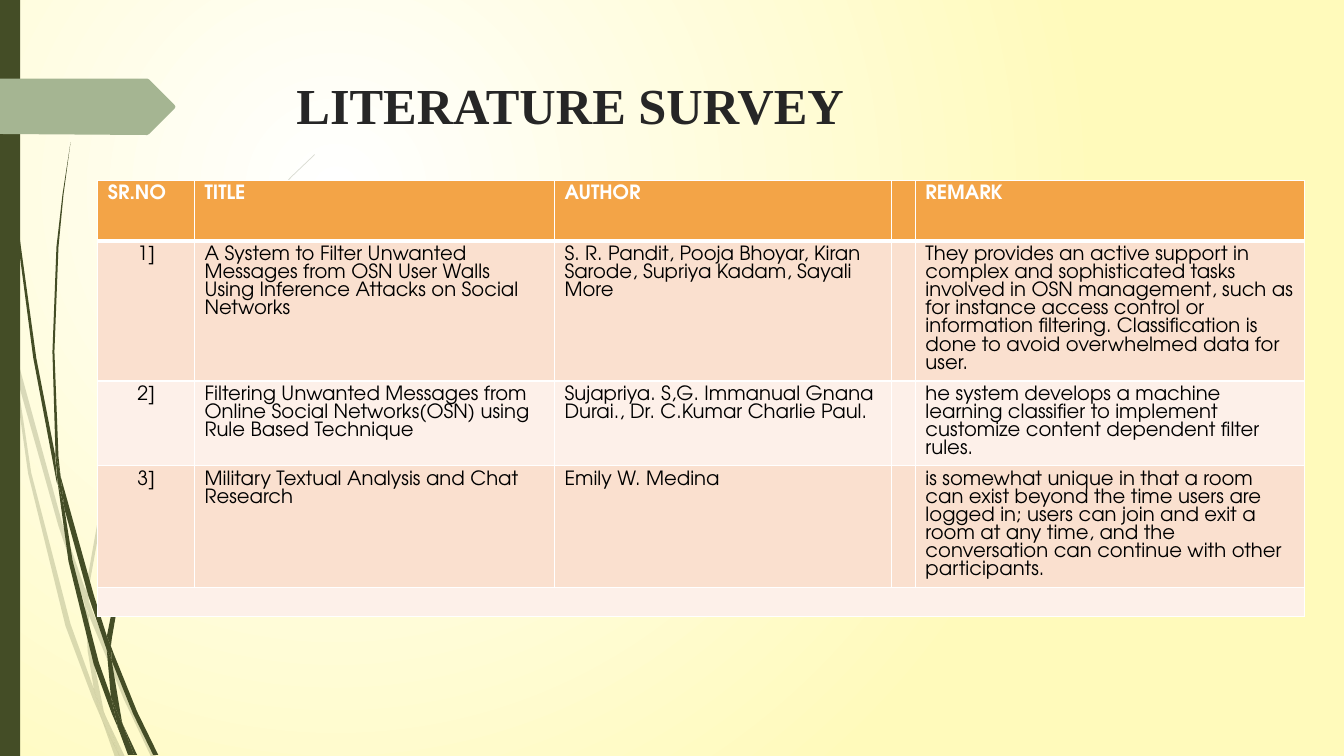
import pptx
import pptx.dml.color
import pptx.enum.shapes
import pptx.enum.text
import pptx.oxml
import pptx.oxml.ns
import pptx.util

WIDE, HIGH = pptx.util.Inches(13.33), pptx.util.Inches(7.5)
DARK, SAGE, ORANGE = "444D26", "A5B592", "F3A447"
BANDS = "FAE0CF", "FDF0E9"
COLS = 7.2, 26.78, 25.06, 1.73, 28.96
ROWS = 8, 18.53, 11.2, 16.13, 3.8
HEAD = "SR.NO", "TITLE", "AUTHOR", "", "REMARK"
PAPERS = (
    ("1]", "A System to Filter Unwanted Messages from OSN User Walls Using Inference Attacks on Social Networks",
     "S. R. Pandit, Pooja Bhoyar, Kiran Sarode, Supriya Kadam, Sayali More", "",
     "They provides an active support in complex and sophisticated tasks involved in OSN management, such as "
     "for instance access control or information filtering. Classification is done to avoid overwhelmed data for user."),
    ("2]", "Filtering Unwanted Messages from Online Social Networks(OSN) using Rule Based Technique",
     "Sujapriya. S,G. Immanual Gnana Durai., Dr. C.Kumar Charlie Paul.", "",
     "he system develops a machine learning classifier to implement customize content dependent filter rules."),
    ("3]", "Military Textual Analysis and Chat Research", "Emily W. Medina", "",
     "is somewhat unique in that a room can exist beyond the time users are logged in; users can join and exit "
     "a room at any time, and the conversation can continue with other participants."),
)
PALE = (
    "0.11 3.5 0.09 3.22 0 2.82 0 2.99 0.1 3.44",
    "0.58 5.22 0.84 5.99 0.85 5.86 0.62 5.2 0.14 3.45 0.17 3.76",
    "0.92 6.07 0.88 5.96 0.88 6.1 1.23 6.94 1.5 7.51 1.55 7.51 1.27 6.92",
    "1.19 7.51 1.24 7.51 1.05 7.11",
    "0.93 6.83 0.7 6.19 0.31 4.69 0.17 3.76 0.11 3.5 0.28 4.7 0.65 6.21 0.92 6.93 1.01 7.14 0.99 7.07",
    "0.84 5.99 0.87 6.46 0.93 6.83 0.96 6.92 1.05 7.11 1.03 7.06 0.91 6.46 0.88 6.1",
    "0.88 5.84 1.1 4.62 1.6 3.49 2.29 2.45 2.68 1.98 2.9 1.75 3.12 1.54 3.12 1.53 2.89 1.75 2.68 1.97 "
    "2.28 2.44 1.58 3.48 1.07 4.61 0.85 5.84 0.85 5.86 0.88 5.96",
    "1.01 7.14 1.14 7.51 1.19 7.51",
    "0.88 6.08 0.88 5.96 0.85 5.86 0.84 5.99",
    "0.96 6.92 0.93 6.83 0.99 7.07 1.01 7.14 1.19 7.51 1.05 7.11",
)
DEEP = (
    "0.07 1.1 0.17 2.33 0.33 3.55 0.56 4.77 0.57 4.81 0.55 4.57 0.55 4.53 0.36 3.55 0.19 2.32 0.08 1.09 "
    "0.05 0.48 0.04 0 0.03 0 0.04 0.48",
    "0.88 5.92 1.06 6.45 1.06 6.31 0.93 5.9 0.6 4.72 0.64 5.05",
    "1.13 6.49 1.1 6.41 1.11 6.56 1.32 7.08 1.52 7.49 1.57 7.49 1.36 7.06",
    "1.1 6.91 0.98 6.57 0.72 5.56 0.64 5.05 0.57 4.77 0.68 5.57 0.93 6.59 1.11 7.08 1.17 7.22 1.16 7.17",
    "0.6 4.72 0.58 4.53 0.54 3.49 0.58 2.45 0.63 1.93 0.7 1.41 0.62 1.93 0.56 2.45 0.52 3.49 0.55 4.49",
    "1.33 7.49 1.36 7.49 1.22 7.19",
    "0.57 4.77 0.64 5.05 0.6 4.72 0.55 4.49 0.55 4.53",
    "1.11 6.33 1.25 5.52 1.58 4.76 2.05 4.06 2.31 3.74 2.61 3.44 2.6 3.44 2.31 3.73 2.04 4.05 1.56 4.74 "
    "1.22 5.51 1.06 6.31 1.1 6.41",
    "1.17 7.22 1.27 7.49 1.31 7.49",
    "1.06 6.45 1.1 6.91 1.16 7.06 1.22 7.19 1.21 7.16 1.11 6.56 1.09 6.51",
    "1.06 6.45 1.09 6.51 1.11 6.56 1.1 6.41 1.06 6.31",
    "1.16 7.06 1.1 6.91 1.16 7.17 1.17 7.22 1.3 7.49 1.33 7.49 1.22 7.19",
)
ARROW = "0 0.78 1.46 0.78 1.48 0.79 1.73 1.04 1.74 1.06 1.73 1.08 1.48 1.33 1.46 1.34 0 1.33"


def node(tag, body="", **vals):
    """Make one drawing tag with attributes and inner tags."""
    atts = "".join(f' {key}="{val}"' for key, val in vals.items())
    return pptx.oxml.parse_xml(
        f'<a:{tag} xmlns:a="http://schemas.openxmlformats.org/drawingml/2006/main"{atts}>{body}</a:{tag}>')


def paint(fill, tone):
    """Make a fill solid in a hex colour."""
    fill.solid()
    fill.fore_color.rgb = pptx.dml.color.RGBColor.from_string(tone)


def box(left, top, wide, high):
    """Turn percent shares of the slide into lengths."""
    return [int(part * full / 100) for part, full in zip((left, top, wide, high), (WIDE, HIGH) * 2)]


def style(font, tone, **form):
    """Set the format values and colour of a font."""
    for key, val in form.items():
        setattr(font, key, val)
    paint(font.fill, tone)


def plain(shape, tone):
    """Give a shape a flat fill without line or shadow."""
    paint(shape.fill, tone)
    shape.line.fill.background()
    shape.shadow.inherit = False


def trace(shapes, text, tone, alpha=100):
    """Draw a closed outline through points in inches."""
    nums = [pptx.util.Inches(float(word)) for word in text.split()]
    dots = list(zip(nums[::2], nums[1::2]))
    form = shapes.build_freeform(*dots[0], scale=1.0)
    form.add_line_segments(dots[1:], close=True)
    shape = form.convert_to_shape()
    plain(shape, tone)
    if alpha < 100:
        ink = shape._element.spPr.find(".//" + pptx.oxml.ns.qn("a:srgbClr"))
        ink.append(node("alpha", val=alpha * 1000))


def glow(slide):
    """Fill the background with a round gradient."""
    slide.background.fill.solid()
    stops = "".join(f'<a:gs pos="{pos}"><a:srgbClr val="{tone}"/></a:gs>'
                    for pos, tone in ((0, "FFFFFF"), (100000, "FFFABB")))
    rect = '<a:fillToRect l="50000" t="50000" r="100000" b="100000"/>'
    fade = node("gradFill", f'<a:gsLst>{stops}</a:gsLst><a:path path="circle">{rect}</a:path>', rotWithShape=1)
    flat = slide._element.find(".//" + pptx.oxml.ns.qn("a:solidFill"))
    flat.getparent().replace(flat, fade)


def adorn(shapes):
    """Draw the stems, side bar and arrow."""
    for stems, alpha in ((PALE, 20), (DEEP, 100)):
        group = shapes.add_group_shape()
        for stem in stems:
            trace(group.shapes, stem, DARK, alpha)
    plain(shapes.add_shape(pptx.enum.shapes.MSO_SHAPE.RECTANGLE, *box(0, 0, 1.5, 100)), DARK)
    trace(shapes, ARROW, SAGE)


def label(shapes, text):
    """Place the title above the table."""
    title = shapes.title
    title.left, title.top, title.width, title.height = box(21.31, 9.07, 73.14, 18.67)
    frame = title.text_frame
    frame.text, frame.vertical_anchor = text, pptx.enum.text.MSO_ANCHOR.TOP
    para = frame.paragraphs[0]
    para.alignment = pptx.enum.text.PP_ALIGN.LEFT
    style(para.runs[0].font, "262626", name="Times New Roman", size=pptx.util.Pt(36), bold=True)
    shapes._spTree.append(title._element)


def fit(cell, text, row, col):
    """Fill, edge and letter one table cell."""
    edges = {"lnL": 1, "lnR": 1, "lnT": 3 if row == 1 else 1, "lnB": 1 if row else 3}
    props = cell._tc.get_or_add_tcPr()
    for at, (side, wide) in enumerate(edges.items()):
        ink = '<a:solidFill><a:srgbClr val="FFFFFF"/></a:solidFill>'
        props.insert(at, node(side, ink, w=wide * 12700))
    paint(cell.fill, BANDS[(row - 1) % 2] if row else ORANGE)
    para = cell.text_frame.paragraphs[0]
    if text:
        run = para.add_run()
        run.text = text
        style(run.font, "000000" if row else "FFFFFF", name="TeX Gyre Adventor",
              size=pptx.util.Pt(14), bold=not row)
        if row and not col:
            para.alignment = pptx.enum.text.PP_ALIGN.CENTER
    else:
        para._p.append(node("endParaRPr", '<a:latin typeface="TeX Gyre Adventor"/>', sz=1400))


def survey(shapes):
    """Add the table of papers."""
    table = shapes.add_table(len(ROWS), len(COLS), *box(7.28, 23.87, sum(COLS), sum(ROWS))).table
    for col, share in zip(table.columns, COLS):
        col.width = int(share * WIDE / 100)
    for row, share in zip(table.rows, ROWS):
        row.height = int(share * HIGH / 100)
    for row, texts in enumerate((HEAD, *PAPERS, ("",) * len(COLS))):
        for col, text in enumerate(texts):
            fit(table.cell(row, col), text, row, col)
    table.cell(4, 0).merge(table.cell(4, 4))


def main():
    """Build the slide and save it."""
    show = pptx.Presentation()
    show.slide_width, show.slide_height = WIDE, HIGH
    slide = show.slides.add_slide(show.slide_layouts[5])
    glow(slide)
    adorn(slide.shapes)
    label(slide.shapes, "LITERATURE SURVEY")
    survey(slide.shapes)
    show.save("out.pptx")


if __name__ == "__main__":
    main()
